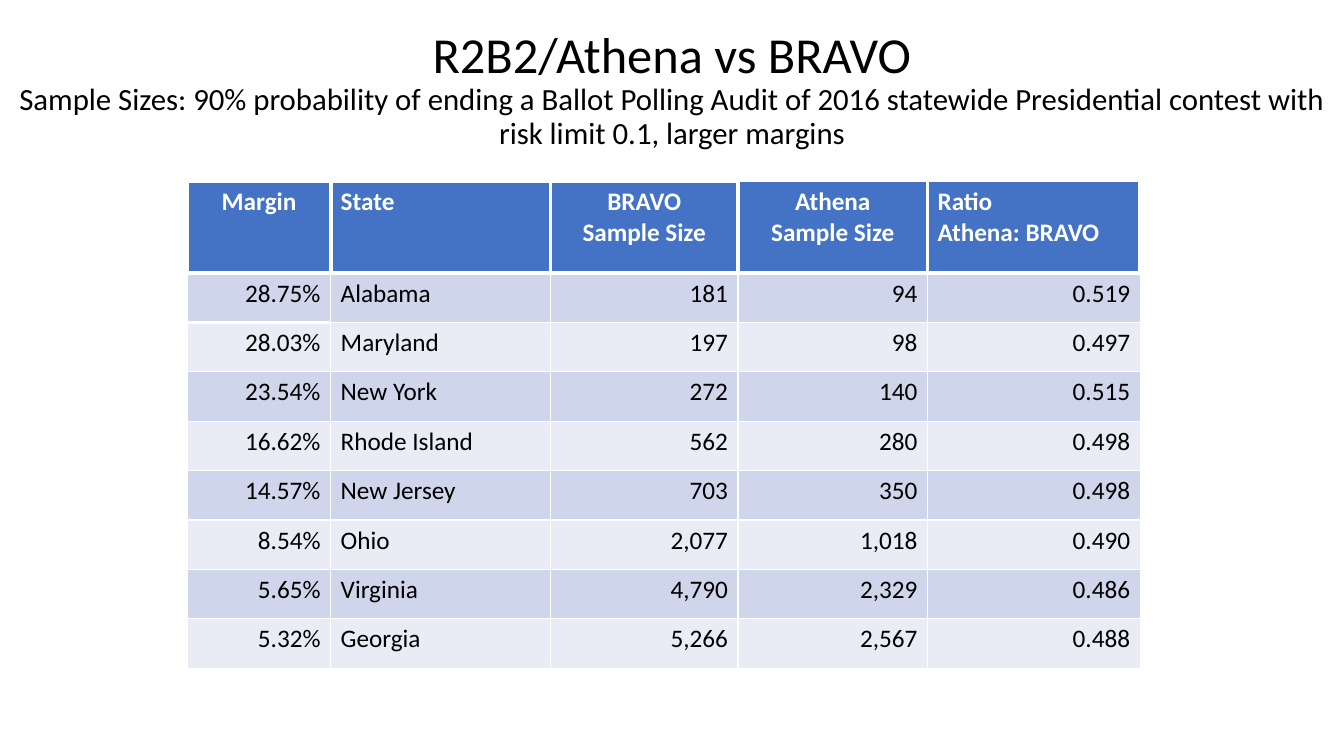
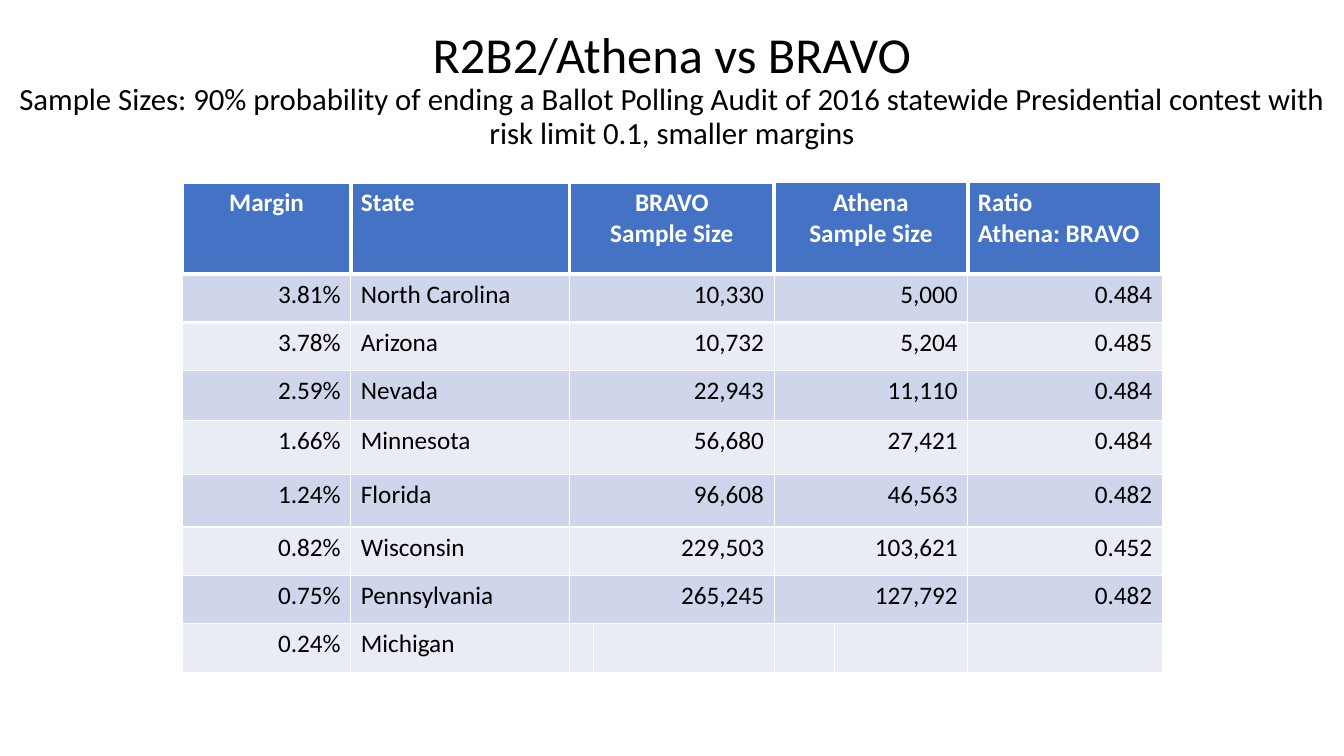
from lxml import etree
from pptx import Presentation
from pptx.dml.color import RGBColor
from pptx.enum.text import MSO_ANCHOR, PP_ALIGN
from pptx.oxml.ns import qn
from pptx.util import Inches, Pt

LEFT, CENTER, RIGHT = PP_ALIGN.LEFT, PP_ALIGN.CENTER, PP_ALIGN.RIGHT
MIDDLE = MSO_ANCHOR.MIDDLE

COLORS = {"text": "000000", "white": "FFFFFF", "header": "4472C4",
          "odd": "CFD5EA", "even": "E9EBF5"}
FONT = "Calibri"
TITLE = "R2B2/Athena vs BRAVO"
SUBTITLE = ("Sample Sizes: 90% probability of ending a Ballot Polling Audit of 2016 "
            "statewide Presidential contest with risk limit 0.1, {} margins")
TITLE_BOX = (0, 0.17, 13.33, 1.45)
HEADERS = ("Margin", "State", "BRAVO\nSample Size", "Athena\nSample Size",
           "Ratio\nAthena: BRAVO")
HEADER_ALIGNS = (CENTER, LEFT, CENTER, CENTER, LEFT)
BODY_ALIGNS = (RIGHT, LEFT, RIGHT, RIGHT, RIGHT)
THIN, MEDIUM, THICK = 1, 1.5, 3

CONTESTS = (
    {
        "margins": "larger",
        "origin": (1.86, 1.8),
        "widths": (1.42, 2.18, 1.86, 1.88, 2.11),
        "heights": (0.91,) + (0.49,) * 8,
        "starts": (0, 1, 2, 3, 4),
        "first_rule": (THICK, MEDIUM, MEDIUM, MEDIUM, THIN),
        "states": (
            ("28.75%", "Alabama", "181", "94", "0.519"),
            ("28.03%", "Maryland", "197", "98", "0.497"),
            ("23.54%", "New York", "272", "140", "0.515"),
            ("16.62%", "Rhode Island", "562", "280", "0.498"),
            ("14.57%", "New Jersey", "703", "350", "0.498"),
            ("8.54%", "Ohio", "2,077", "1,018", "0.490"),
            ("5.65%", "Virginia", "4,790", "2,329", "0.486"),
            ("5.32%", "Georgia", "5,266", "2,567", "0.488"),
        ),
    },
    {
        "margins": "smaller",
        "origin": (1.81, 1.81),
        "widths": (1.67, 2.17, 0.23, 1.79, 0.6, 1.32, 1.93),
        "heights": (0.91, 0.48, 0.48, 0.49, 0.54, 0.52, 0.48, 0.48, 0.48),
        "starts": (0, 1, 2, 4, 6),
        "first_rule": (THICK,) * 6 + (THIN,),
        "states": (
            ("3.81%", "North Carolina", "10,330", "5,000", "0.484"),
            ("3.78%", "Arizona", "10,732", "5,204", "0.485"),
            ("2.59%", "Nevada", "22,943", "11,110", "0.484"),
            ("1.66%", "Minnesota", "56,680", "27,421", "0.484"),
            ("1.24%", "Florida", "96,608", "46,563", "0.482"),
            ("0.82%", "Wisconsin", "229,503", "103,621", "0.452"),
            ("0.75%", "Pennsylvania", "265,245", "127,792", "0.482"),
            ("0.24%", "Michigan"),
        ),
    },
)


def add_text(paragraph, text, size=18, color="text", bold=False, align=LEFT):
    """Add a formatted run to a paragraph."""
    paragraph.alignment = align
    run = paragraph.add_run()
    run.text = text
    run.font.name = FONT
    run.font.size = Pt(size)
    run.font.bold = bold
    run.font.color.rgb = RGBColor.from_string(COLORS[color])


def add_title(slide, box, subtitle):
    """Place the title and its smaller subtitle centred in the box."""
    frame = slide.shapes.add_textbox(*map(Inches, box)).text_frame
    frame.word_wrap = True
    frame.vertical_anchor = MIDDLE
    heading = frame.paragraphs[0]
    heading.line_spacing = 0.9
    add_text(heading, TITLE, size=36, align=CENTER)
    heading.add_line_break()
    add_text(heading, subtitle, size=22, align=CENTER)


def style_cell(cell, color, left, right, top, bottom):
    """Give a cell its fill and white borders of the given widths."""
    properties = cell._tc.get_or_add_tcPr()
    for side, width in zip("LRTB", (left, right, top, bottom)):
        line = etree.SubElement(properties, qn(f"a:ln{side}"), w=str(Pt(width)))
        fill = etree.SubElement(line, qn("a:solidFill"))
        etree.SubElement(fill, qn("a:srgbClr"), val=COLORS["white"])
    cell.fill.solid()
    cell.fill.fore_color.rgb = RGBColor.from_string(COLORS[color])


def border_widths(row, column, contest):
    """Return the left, right, top and bottom border widths of a cell."""
    if row == 0:
        top = THICK if column < contest["starts"][3] else THIN
        return THICK, THICK, top, THICK
    first_rule = contest["first_rule"][column]
    top = {1: THICK, 2: first_rule}.get(row, THIN)
    return THIN, THIN, top, first_rule if row == 1 else THIN


def fill_row(table, row, values, contest):
    """Merge, style and write the cells of one row."""
    starts, column_count = contest["starts"], len(contest["widths"])
    if len(values) == len(starts):
        for start, end in zip(starts, starts[1:] + (column_count,)):
            if end - start > 1:
                table.cell(row, start).merge(table.cell(row, end - 1))
    color = "header" if row == 0 else ("even", "odd")[row % 2]
    for column in range(column_count):
        cell = table.cell(row, column)
        if not cell.is_spanned:
            style_cell(cell, color, *border_widths(row, column, contest))
    aligns = HEADER_ALIGNS if row == 0 else BODY_ALIGNS
    for start, value, align in zip(starts, values, aligns):
        frame = table.cell(row, start).text_frame
        for index, line in enumerate(value.split("\n")):
            paragraph = frame.add_paragraph() if index else frame.paragraphs[0]
            add_text(paragraph, line, color="text" if row else "white",
                     bold=row == 0, align=align)


def add_sample_sizes(slide, contest):
    """Place the table of sample sizes by state."""
    widths, heights = contest["widths"], contest["heights"]
    box = (*contest["origin"], sum(widths), sum(heights))
    table = slide.shapes.add_table(len(heights), len(widths), *map(Inches, box)).table
    for column, width in zip(table.columns, widths):
        column.width = Inches(width)
    for row, height in zip(table.rows, heights):
        row.height = Inches(height)
    for row, values in enumerate((HEADERS, *contest["states"])):
        fill_row(table, row, values, contest)


def main():
    """Build and save the presentation."""
    presentation = Presentation()
    presentation.slide_width = Inches(13.33)
    presentation.slide_height = Inches(7.5)
    for contest in CONTESTS:
        slide = presentation.slides.add_slide(presentation.slide_layouts[6])
        add_title(slide, TITLE_BOX, SUBTITLE.format(contest["margins"]))
        add_sample_sizes(slide, contest)
    presentation.save("out.pptx")


if __name__ == "__main__":
    main()
